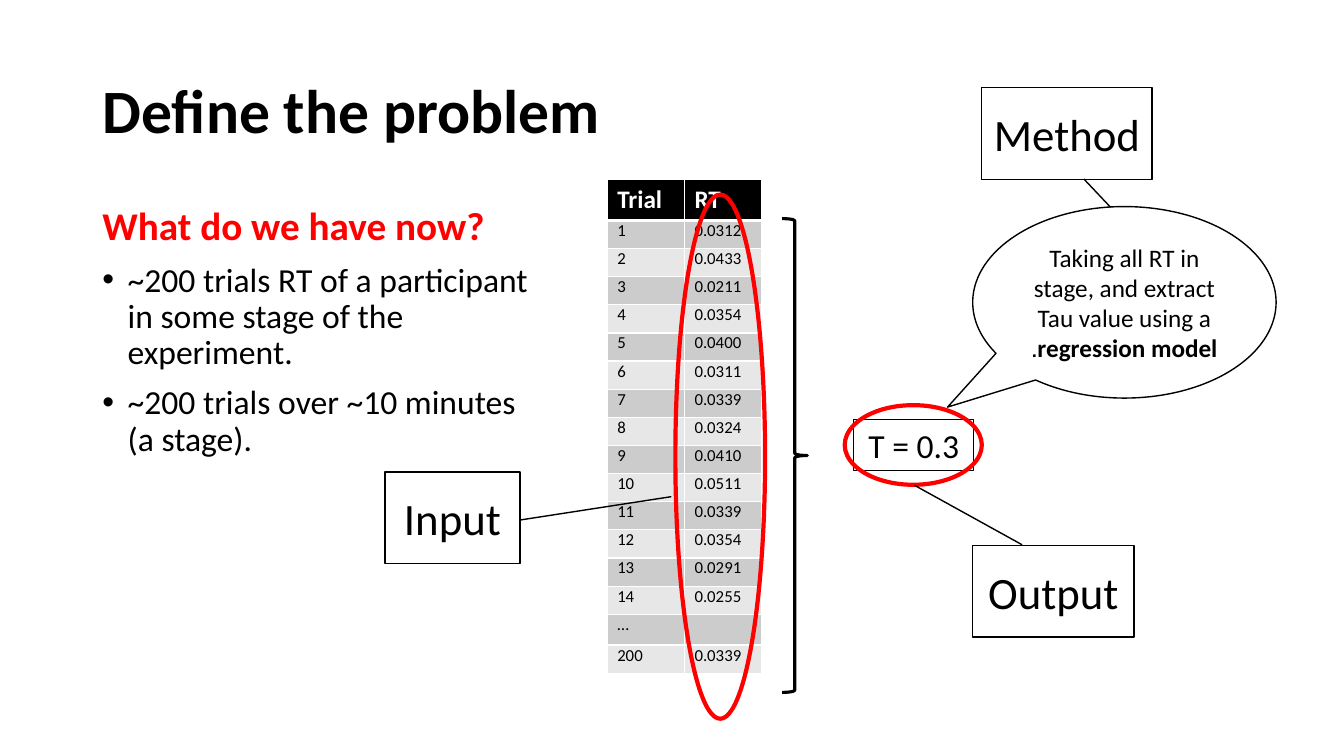
from lxml import etree
from pptx import Presentation
from pptx import util as u
from pptx.dml.color import RGBColor
from pptx.enum import shapes, text
from pptx.oxml.ns import qn

COLORS = {"ink": "000000", "paper": "FFFFFF", "accent": "FF0000",
          "band_dark": "CCCCCC", "band_light": "E7E7E7"}
FONT = "Calibri"
SHAPE = shapes.MSO_SHAPE
MIDDLE = text.MSO_ANCHOR.MIDDLE


def rgb(name):
    return RGBColor.from_string(COLORS[name])


def add_text(p, words, size=18, color="ink", bold=False, align=None, rtl=False):
    r = p.add_run()
    r.text = words
    r.font.name, r.font.size, r.font.bold = FONT, u.Pt(size), bold
    r.font.color.rgb = rgb(color)
    if align is not None:
        p.alignment = align
    if rtl:
        p._p.get_or_add_pPr().set("rtl", "1")


class SlideBuilder:
    def __init__(self, prs):
        self.s = prs.slides.add_slide(prs.slide_layouts[1])

    def place(self, sp, box):
        sp.left, sp.top, sp.width, sp.height = (u.Pt(v) for v in box)

    def title(self, words, box):
        sp = self.s.shapes.title
        self.place(sp, box)
        tf = sp.text_frame
        tf.auto_size, tf.vertical_anchor = text.MSO_AUTO_SIZE.NONE, MIDDLE
        p = tf.paragraphs[0]
        p.line_spacing = 0.9
        add_text(p, words, 44, bold=True, align=text.PP_ALIGN.LEFT)

    def body(self, heading, bullets, box):
        sp = self.s.placeholders[1]
        self.place(sp, box)
        tf = sp.text_frame
        tf.auto_size = text.MSO_AUTO_SIZE.NONE
        for i, words in enumerate([heading] + bullets):
            p = tf.add_paragraph() if i else tf.paragraphs[0]
            p.line_spacing, p.space_before = 0.9, u.Pt(10)
            pPr = p._p.get_or_add_pPr()
            indent = u.Pt(18) if i else 0
            pPr.set("marL", str(indent))
            pPr.set("indent", str(-indent))
            if i:
                etree.SubElement(pPr, qn("a:buChar")).set("char", "•")
                add_text(p, words, 24)
            else:
                etree.SubElement(pPr, qn("a:buNone"))
                add_text(p, words, 28, "accent", bold=True)

    def shape(self, kind, box, fill=None, line="ink", weight=1, adj=(), runs=(), size=18):
        sp = self.s.shapes.add_shape(kind, *(u.Pt(v) for v in box))
        sp.shadow.inherit = False
        if fill:
            sp.fill.solid()
            sp.fill.fore_color.rgb = rgb(fill)
        else:
            sp.fill.background()
        sp.line.color.rgb, sp.line.width = rgb(line), u.Pt(weight)
        for i, value in enumerate(adj):
            sp.adjustments[i] = value
        tf = sp.text_frame
        tf.word_wrap, tf.vertical_anchor = True, MIDDLE
        for words, bold in runs:
            add_text(tf.paragraphs[0], words, size, bold=bold,
                     align=text.PP_ALIGN.CENTER, rtl=True)

    def label(self, words, box, adj):
        self.shape(SHAPE.LINE_CALLOUT_1, box, fill="paper", adj=adj,
                   runs=[(words, False)], size=32)

    def ring(self, box):
        self.shape(SHAPE.OVAL, box, line="accent", weight=3)

    def borders(self, cell, bottom):
        tcPr = cell._tc.get_or_add_tcPr()
        for i, (tag, weight) in enumerate([("lnL", 1), ("lnR", 1), ("lnT", 1), ("lnB", bottom)]):
            ln = etree.Element(qn("a:" + tag), w=str(u.Pt(weight)))
            fill = etree.SubElement(ln, qn("a:solidFill"))
            etree.SubElement(fill, qn("a:srgbClr")).set("val", COLORS["paper"])
            tcPr.insert(i, ln)

    def table(self, rows, box, row_height):
        frame = self.s.shapes.add_table(len(rows), len(rows[0]), *(u.Pt(v) for v in box))
        for i, row in enumerate(rows):
            frame.table.rows[i].height = u.Pt(row_height)
            for j, words in enumerate(row):
                cell = frame.table.cell(i, j)
                header = i == 0
                cell.fill.solid()
                band = "band_dark" if i % 2 else "band_light"
                cell.fill.fore_color.rgb = rgb("ink" if header else band)
                self.borders(cell, 3 if header else 1)
                if not header:
                    cell.margin_top = cell.margin_bottom = 0
                if words:
                    add_text(cell.text_frame.paragraphs[0], words, 18 if header else 12,
                             "paper" if header else "ink", bold=header)


def main():
    prs = Presentation()
    prs.slide_width, prs.slide_height = u.Pt(960), u.Pt(540)
    b = SlideBuilder(prs)

    # Title and list
    b.title("Define the problem", (66, 28.8, 828, 104.4))
    b.body("What do we have now?",
           ["~200 trials RT of a participant in some stage of the experiment.",
            "~200 trials over ~10 minutes (a stage)."],
           (66, 144, 322.6, 221.8))

    # Reaction times
    times = ["0.0312", "0.0433", "0.0211", "0.0354", "0.0400", "0.0311", "0.0339",
             "0.0324", "0.0410", "0.0511", "0.0339", "0.0354", "0.0291", "0.0255"]
    trials = [(str(n), rt) for n, rt in enumerate(times, 1)]
    b.table([("Trial", "RT")] + trials + [("…", ""), ("200", "0.0339")],
            (433.7, 128.2, 110.4, 341.7), 20.1)
    b.shape(SHAPE.RIGHT_BRACE, (558.7, 156.2, 18, 338.4), weight=2.25)

    # Result and method
    b.shape(SHAPE.RECTANGLE, (609.8, 299.5, 85.7, 36.3), weight=0.75,
            runs=[("Τ = 0.3", False)], size=24)
    b.shape(SHAPE.OVAL_CALLOUT, (694.8, 147.6, 216.7, 136.8), fill="paper",
            adj=(-0.583, 0.547),
            runs=[("Taking all RT in stage, and extract Tau value using a ", False),
                  ("regression model", True), (".", False)])

    # Rings and labels
    b.ring((482.4, 139, 64.1, 374.4))
    b.label("Input", (275, 337, 96.5, 65.5), (0.527, 0.996, 0.271, 2.12))
    b.ring((603.4, 289.4, 97.9, 56.9))
    b.label("Output", (694.8, 389.5, 115.2, 65.5), (-0.006, 0.307, -0.655, -0.361))
    b.label("Method", (701.3, 62.6, 121.7, 65.5), (0.996, 0.599, 1.305, 0.756))

    prs.save("out.pptx")


if __name__ == "__main__":
    main()
